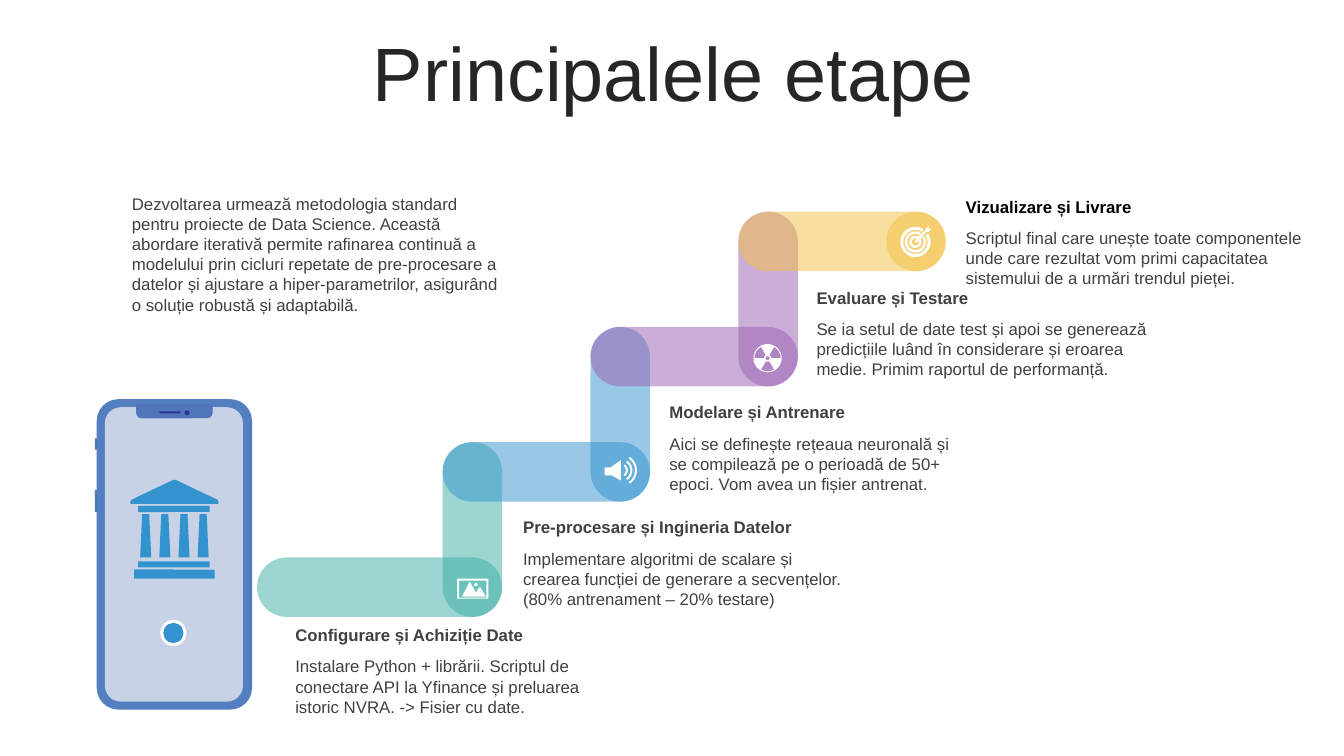
from dataclasses import dataclass
from math import cos, radians, sin

from pptx import Presentation
from pptx.dml.color import RGBColor
from pptx.enum.shapes import MSO_SHAPE
from pptx.enum.text import MSO_ANCHOR, PP_ALIGN
from pptx.oxml import parse_xml
from pptx.oxml.ns import nsdecls
from pptx.util import Emu, Pt

ROUND, OVAL, RECT = MSO_SHAPE.ROUNDED_RECTANGLE, MSO_SHAPE.OVAL, MSO_SHAPE.RECTANGLE
NOTCH = MSO_SHAPE.ROUND_2_SAME_RECTANGLE
TOP, MIDDLE = MSO_ANCHOR.TOP, MSO_ANCHOR.MIDDLE
LEFT, CENTER = PP_ALIGN.LEFT, PP_ALIGN.CENTER
PX = 9144  # 100 px to the inch


@dataclass(frozen=True)
class Theme:
    font: str = "Arial"
    title_size: int = 54
    text_size: int = 12
    title: str = "262626"
    text: str = "404040"
    black: str = "000000"
    white: str = "FFFFFF"
    steps: tuple = ("3CAFA4", "3293CF", "995FB2", "F3C040")
    accent: str = "3293CF"
    case: str = "537EC0"
    screen: str = "C7D2E7"
    trim: str = "4F76BA"
    sensor: str = "2E3192"


THEME = Theme()

STAGES = [  # left, top, body width, heading colour, heading, body
    (283, 615, 311, THEME.text, "Configurare și Achiziție Date",
     "Instalare Python + librării. Scriptul de conectare API la Yfinance și "
     "preluarea istoric NVRA. -> Fisier cu date."),
    (509, 508, 337, THEME.text, "Pre-procesare și Ingineria Datelor",
     "Implementare algoritmi de scalare și crearea funcției de generare a "
     "secvențelor. (80% antrenament – 20% testare)"),
    (654, 394, 311, THEME.text, "Modelare și Antrenare",
     "Aici se definește rețeaua neuronală și se compilează pe o perioadă de 50+ "
     "epoci. Vom avea un fișier antrenat."),
    (800, 280, 349, THEME.text, "Evaluare și Testare",
     "Se ia setul de date test și apoi se generează predicțiile luând în "
     "considerare și eroarea medie. Primim raportul de performanță."),
    (948, 190, 366, THEME.black, "Vizualizare și Livrare",
     "Scriptul final care unește toate componentele unde care rezultat vom primi "
     "capacitatea sistemului de a urmări trendul pieței."),
]
INTRO = ("Dezvoltarea urmează metodologia standard pentru proiecte de Data Science. "
         "Această abordare iterativă permite rafinarea continuă a modelului prin "
         "cicluri repetate de pre-procesare a datelor și ajustare a "
         "hiper-parametrilor, asigurând o soluție robustă și adaptabilă.")


def emu(px):
    return Emu(round(px * PX))


def paint(shape, color, alpha=100):
    shape.shadow.inherit = False
    shape.fill.solid()
    shape.fill.fore_color.rgb = RGBColor.from_string(color)
    shape.line.fill.background()
    if alpha < 100:
        tint = shape.fill._xPr.find(".//{*}srgbClr")
        tint.append(parse_xml(f'<a:alpha {nsdecls("a")} val="{alpha * 1000}"/>'))


def add_preset(page, kind, box, color, alpha=100, corners=()):
    shape = page.shapes.add_shape(kind, *map(emu, box))
    for index, corner in enumerate(corners):
        shape.adjustments[index] = corner
    paint(shape, color, alpha)


def add_outline(page, contours, color):
    """Draw closed contours as one shape; inner contours are holes."""
    builder = None
    for contour in contours:
        points = [(emu(x), emu(y)) for x, y in contour]
        if builder is None:
            builder = page.shapes.build_freeform(*points[0], scale=1.0)
        else:
            builder.move_to(*points[0])
        builder.add_line_segments(points[1:], close=True)
    paint(builder.convert_to_shape(), color)


def add_text(page, box, text, size=THEME.text_size, color=THEME.text, bold=False,
             anchor=TOP, align=LEFT, spacing=None):
    frame = page.shapes.add_textbox(*map(emu, box)).text_frame
    frame.word_wrap, frame.vertical_anchor = True, anchor
    para = frame.paragraphs[0]
    para.alignment, para.line_spacing = align, spacing
    span = para.add_run()
    span.text = text
    formats = {"name": THEME.font, "size": Pt(size), "bold": bold}
    for name, value in formats.items():
        setattr(span.font, name, value)
    span.font.color.rgb = RGBColor.from_string(color)


def arc(x, y, radius, start=0, end=360):
    steps = 36
    angles = [radians(start + (end - start) * i / steps) for i in range(steps + 1)]
    return [(x + radius * cos(a), y + radius * sin(a)) for a in angles]


def sector(x, y, inner, outer, start, end):
    return arc(x, y, outer, start, end) + arc(x, y, inner, end, start)


def rectangle(x, y, width, height):
    return [(x, y), (x + width, y), (x + width, y + height), (x, y + height)]


# Icons, each placed around its centre
def image_icon(x, y):
    hills = [(-11, 8), (-3, -7), (3, 4), (7, -2), (13, 8)]
    return [rectangle(x - 15.5, y - 10, 31, 20), rectangle(x - 13.5, y - 8, 27, 17),
            [(x + dx, y + dy) for dx, dy in hills], arc(x + 3, y - 4, 1.7)]


def speaker_icon(x, y):
    horn = [(0, -10), (0, 10), (-9, 5), (-16, 5), (-16, -3), (-10, -3)]
    waves = [sector(x, y, r - 2, r, -56, 56) for r in (7, 11.5, 16)]
    return [[(x + dx, y + dy) for dx, dy in horn], *waves]


def radiation_icon(x, y):
    blades = [sector(x, y, 3.5, 13, a, a + 60) for a in (60, 180, 300)]
    return [arc(x, y, 14), arc(x, y, 2), *blades]


def target_icon(x, y):
    dart = [(-1, -1), (10, -12), (10, -13), (13, -16), (13, -13), (16, -13),
            (13, -10), (11, -10), (1, 1)]
    rings = [sector(x, y, inner, outer, -32, 302)
             for inner, outer in ((12, 15), (8, 10.5), (3.5, 6))]
    return [*rings, [(x + dx, y + dy) for dx, dy in dart]]


def add_staircase(page, left, top, width, height):
    thick, first = 59, 184
    run = (width - first - thick) / 3
    rise = (height - thick) / 3
    knees = [left + first + run * i for i in range(4)]
    levels = [top + height - thick - rise * i for i in range(4)]
    starts = [left] + knees[:3]
    for i, color in enumerate(THEME.steps):
        bar = (starts[i], levels[i], knees[i] + thick - starts[i], thick)
        add_preset(page, ROUND, bar, color, 50, (0.5,))
        if i < 3:
            riser = (knees[i], levels[i + 1], thick, rise + thick)
            add_preset(page, ROUND, riser, color, 50, (0.5,))
    add_preset(page, OVAL, (knees[3], levels[3], thick, thick), THEME.steps[3], 50)
    icons = (image_icon, speaker_icon, radiation_icon, target_icon)
    offsets = ((30, 31), (30, 28), (29, 31), (29, 30))
    for icon, x, y, (dx, dy) in zip(icons, knees, levels, offsets):
        add_outline(page, icon(x + dx, y + dy), THEME.white)


def add_bank(page, left, top):
    roof = [(0, 23), (1, 20), (43, 0), (45, 0), (87, 20), (88, 23), (87, 24), (1, 24)]
    column = [(0, 77), (2, 34), (9, 34), (11, 77)]
    add_outline(page, [[(left + x, top + y) for x, y in roof]], THEME.accent)
    for i in range(4):
        x0 = left + 10 + 19 * i
        add_outline(page, [[(x0 + x, top + y) for x, y in column]], THEME.accent)
    for x, y, width, height in ((8, 26, 71, 6), (8, 81, 71, 6), (4, 89, 80, 9)):
        box = (left + x, top + y, width, height)
        add_preset(page, ROUND, box, THEME.accent, corners=(0.1,))


def add_phone(page, left, top, width, height):
    parts = [
        (ROUND, (0, 0, width, height), THEME.case, (0.14,)),
        (ROUND, (8, 8, width - 17, height - 16), THEME.screen, (0.115,)),
        (NOTCH, (39, 5, 76, 14), THEME.trim, (0, 0.4)),
        (RECT, (-2, 39, 2, 11), THEME.trim, ()),
        (RECT, (-2, 90, 2, 22), THEME.trim, ()),
        (ROUND, (62, 12, 21, 2), THEME.sensor, (0.5,)),
        (OVAL, (87, 11, 5, 5), THEME.sensor, ()),
        (OVAL, (63, 219, 26, 26), THEME.white, ()),
        (OVAL, (66, 222, 20, 20), THEME.accent, ()),
    ]
    for kind, (x, y, w, h), color, corners in parts:
        add_preset(page, kind, (left + x, top + y, w, h), color, corners=corners)
    add_bank(page, left + 33, top + 80)


def add_stage(page, left, top, width, color, heading, body):
    add_text(page, (left, top, 311, 30), heading, color=color, bold=True, anchor=MIDDLE)
    add_text(page, (left, top + 31, width, 71), body)


def main():
    deck = Presentation()
    deck.slide_width, deck.slide_height = emu(1333), emu(750)
    page = deck.slides.add_slide(deck.slide_layouts[6])
    # Title and introduction
    add_text(page, (35, 37, 1266, 79), "Principalele etape", THEME.title_size,
             THEME.title, anchor=MIDDLE, align=CENTER, spacing=0.9)
    add_text(page, (121, 187, 393, 131), INTRO)
    # Staircase, stage texts and phone
    add_staircase(page, 255, 210, 683, 402)
    for stage in STAGES:
        add_stage(page, *stage)
    add_phone(page, 96, 396, 154, 308)
    deck.save("out.pptx")


if __name__ == "__main__":
    main()
